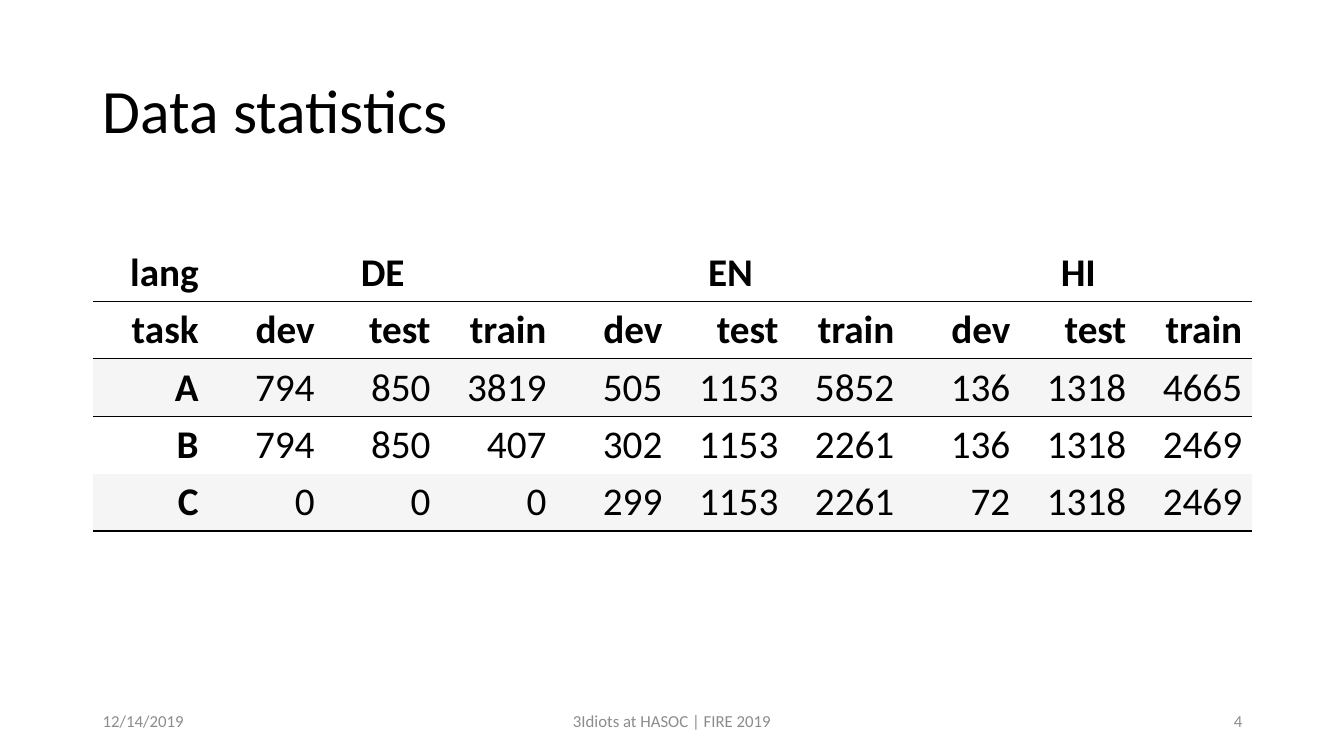
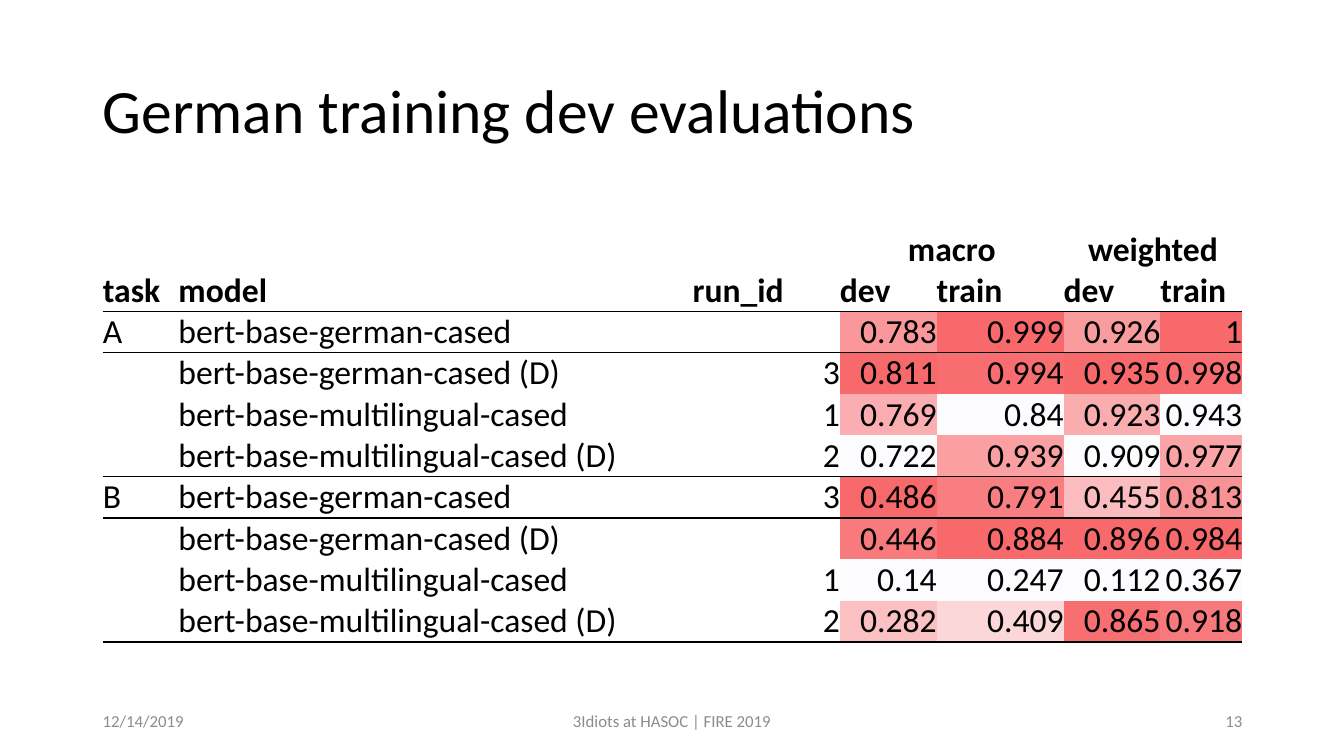
from lxml import etree
from pptx import Presentation
from pptx import util as u
from pptx.dml.color import RGBColor
from pptx.enum import text as t
from pptx.oxml import ns

# Shared look
FONT = "Calibri"
BLACK, GREY, BAND = "000000", "8C8C8C", "F5F5F5"
HEAT_LOW, HEAT_HIGH = "FCFCFF", "F8696B"
PLAIN_TABLE = "{2D5ABB26-0587-4C30-8999-92F81FD0307C}"
WIDTH, HEIGHT, MARGIN = 13.33, 7.5, 0.92
BODY = 11.5
LEFT, CENTER, RIGHT = t.PP_ALIGN.LEFT, t.PP_ALIGN.CENTER, t.PP_ALIGN.RIGHT

# Content
DATE, EVENT = "12/14/2019", "3Idiots at HASOC | FIRE 2019"
SPLITS = ["dev", "test", "train"]
LANGUAGES = ["DE", "EN", "HI"]
COUNTS = {
    "A": [794, 850, 3819, 505, 1153, 5852, 136, 1318, 4665],
    "B": [794, 850, 407, 302, 1153, 2261, 136, 1318, 2469],
    "C": [0, 0, 0, 299, 1153, 2261, 72, 1318, 2469],
}
MODELS = [
    "bert-base-german-cased",
    "bert-base-german-cased (D)",
    "bert-base-multilingual-cased",
    "bert-base-multilingual-cased (D)",
]
# For each task: run id, then macro dev and train, weighted dev and train
SCORES = {
    "A": [
        ("", 0.783, 0.999, 0.926, 1),
        (3, 0.811, 0.994, 0.935, 0.998),
        (1, 0.769, 0.84, 0.923, 0.943),
        (2, 0.722, 0.939, 0.909, 0.977),
    ],
    "B": [
        (3, 0.486, 0.791, 0.455, 0.813),
        ("", 0.446, 0.884, 0.896, 0.984),
        (1, 0.14, 0.247, 0.112, 0.367),
        (2, 0.282, 0.409, 0.865, 0.918),
    ],
}


def color(value):
    return RGBColor.from_string(value)


def set_font(paragraph, size, hex_color=BLACK, bold=False):
    paragraph.font.name = FONT
    paragraph.font.size = u.Pt(size)
    paragraph.font.bold = bold
    paragraph.font.color.rgb = color(hex_color)


def add_slide(presentation, title, number):
    """Slide with its title and the three footer texts."""
    slide = presentation.slides.add_slide(presentation.slide_layouts[5])
    shape = slide.shapes.title
    shape.left, shape.top = u.Inches(MARGIN), u.Inches(0.4)
    shape.width, shape.height = u.Inches(BODY), u.Inches(1.45)
    frame = shape.text_frame
    frame.text = title
    frame.auto_size = t.MSO_AUTO_SIZE.NONE
    frame.vertical_anchor = t.MSO_ANCHOR.MIDDLE
    paragraph = frame.paragraphs[0]
    paragraph.alignment, paragraph.line_spacing = LEFT, 0.9
    set_font(paragraph, 44)

    footers = [
        (DATE, MARGIN, 3, LEFT),
        (EVENT, (WIDTH - 4.5) / 2, 4.5, CENTER),
        (str(number), MARGIN + BODY - 3, 3, RIGHT),
    ]
    for wording, left, width, alignment in footers:
        box = slide.shapes.add_textbox(
            u.Inches(left), u.Inches(6.95), u.Inches(width), u.Inches(0.4))
        frame = box.text_frame
        frame.word_wrap = True
        frame.vertical_anchor = t.MSO_ANCHOR.MIDDLE
        paragraph = frame.paragraphs[0]
        paragraph.text, paragraph.alignment = wording, alignment
        set_font(paragraph, 12, GREY)
    return slide


def add_rule(cell, side):
    """Black one-point line on one side of a cell."""
    line = etree.Element(ns.qn("a:" + side), w=str(u.Pt(1)))
    fill = etree.SubElement(line, ns.qn("a:solidFill"))
    etree.SubElement(fill, ns.qn("a:srgbClr"), val=BLACK)
    cell._tc.get_or_add_tcPr().insert(0, line)


def add_table(slide, rows, left, top, widths, row_height, size, spans, ruled,
              align, bold, fill, anchor, inset=None):
    """spans are (first, last) columns of row 0; ruled rows have a line below.

    align, bold and fill are functions of row and column.
    """
    graphic = slide.shapes.add_table(
        len(rows), len(widths), u.Inches(left), u.Inches(top),
        u.Inches(sum(widths)), u.Inches(row_height * len(rows)))
    table = graphic.table
    table.first_row = table.horz_banding = False
    table._tbl.tblPr.find(ns.qn("a:tableStyleId")).text = PLAIN_TABLE
    for column, width in zip(table.columns, widths):
        column.width = u.Inches(width)
    for first, last in spans:
        table.cell(0, first).merge(table.cell(0, last))
    for r, row in enumerate(rows):
        table.rows[r].height = u.Inches(row_height)
        for c, value in enumerate(row):
            cell = table.cell(r, c)
            cell.vertical_anchor = anchor
            if inset is not None:
                cell.margin_left = cell.margin_right = u.Inches(inset)
                cell.margin_top = cell.margin_bottom = u.Inches(inset)
            if value != "":
                paragraph = cell.text_frame.paragraphs[0]
                paragraph.text = str(value)
                paragraph.alignment = CENTER if cell.is_merge_origin else align(r, c)
                set_font(paragraph, size, bold=bold(r, c))
            shade = fill(r, c)
            if shade:
                cell.fill.solid()
                cell.fill.fore_color.rgb = color(shade)
            else:
                cell.fill.background()
            if r in ruled:
                add_rule(cell, "lnB")
            if r - 1 in ruled:
                add_rule(cell, "lnT")


def heat(value, group):
    """Blend from the lowest to the highest value of a group."""
    share = (value - min(group)) / (max(group) - min(group))
    low, high = color(HEAT_LOW), color(HEAT_HIGH)
    return "".join(f"{round(a + (b - a) * share):02X}" for a, b in zip(low, high))


def build_statistics(presentation):
    slide = add_slide(presentation, "Data statistics", 4)
    languages = [cell for name in LANGUAGES for cell in (name, "", "")]
    rows = [["lang"] + languages, ["task"] + SPLITS * len(LANGUAGES)]
    rows += [[task] + counts for task, counts in COUNTS.items()]
    columns = len(rows[0])
    add_table(
        slide, rows, MARGIN, 2.42, [BODY / columns] * columns, 0.57, 28,
        spans=[(first, first + 2) for first in range(1, columns, 3)],
        ruled={0, 1, len(rows) - 1},
        align=lambda r, c: RIGHT,
        bold=lambda r, c: r < 2 or c == 0,
        fill=lambda r, c: BAND if r >= 2 and r % 2 == 0 else None,
        anchor=t.MSO_ANCHOR.MIDDLE)


def build_evaluations(presentation):
    slide = add_slide(presentation, "German training dev evaluations", 13)
    rows = [
        ["", "", "", "macro", "", "weighted", ""],
        ["task", "model", "run_id", "dev", "train", "dev", "train"],
    ]
    shades = {}
    ruled = {1}
    for task, runs in SCORES.items():
        groups = list(zip(*runs))
        for i, (model, run) in enumerate(zip(MODELS, runs)):
            for c in range(1, len(run)):
                shades[len(rows), c + 2] = heat(run[c], groups[c])
            rows.append([task if i == 0 else "", model, *run])
        ruled.add(len(rows) - 1)
    add_table(
        slide, rows, 1.02, 2.27, [0.75, 5.1, 1.46, 0.96, 1.26, 0.96, 0.81],
        0.41, 24,
        spans=[(3, 4), (5, 6)],
        ruled=ruled,
        align=lambda r, c: LEFT if r < 2 or c < 2 else RIGHT,
        bold=lambda r, c: r < 2,
        fill=lambda r, c: shades.get((r, c)),
        anchor=t.MSO_ANCHOR.BOTTOM, inset=0)


def main():
    presentation = Presentation()
    presentation.slide_width = u.Inches(WIDTH)
    presentation.slide_height = u.Inches(HEIGHT)
    build_statistics(presentation)
    build_evaluations(presentation)
    presentation.save("out.pptx")


if __name__ == "__main__":
    main()
